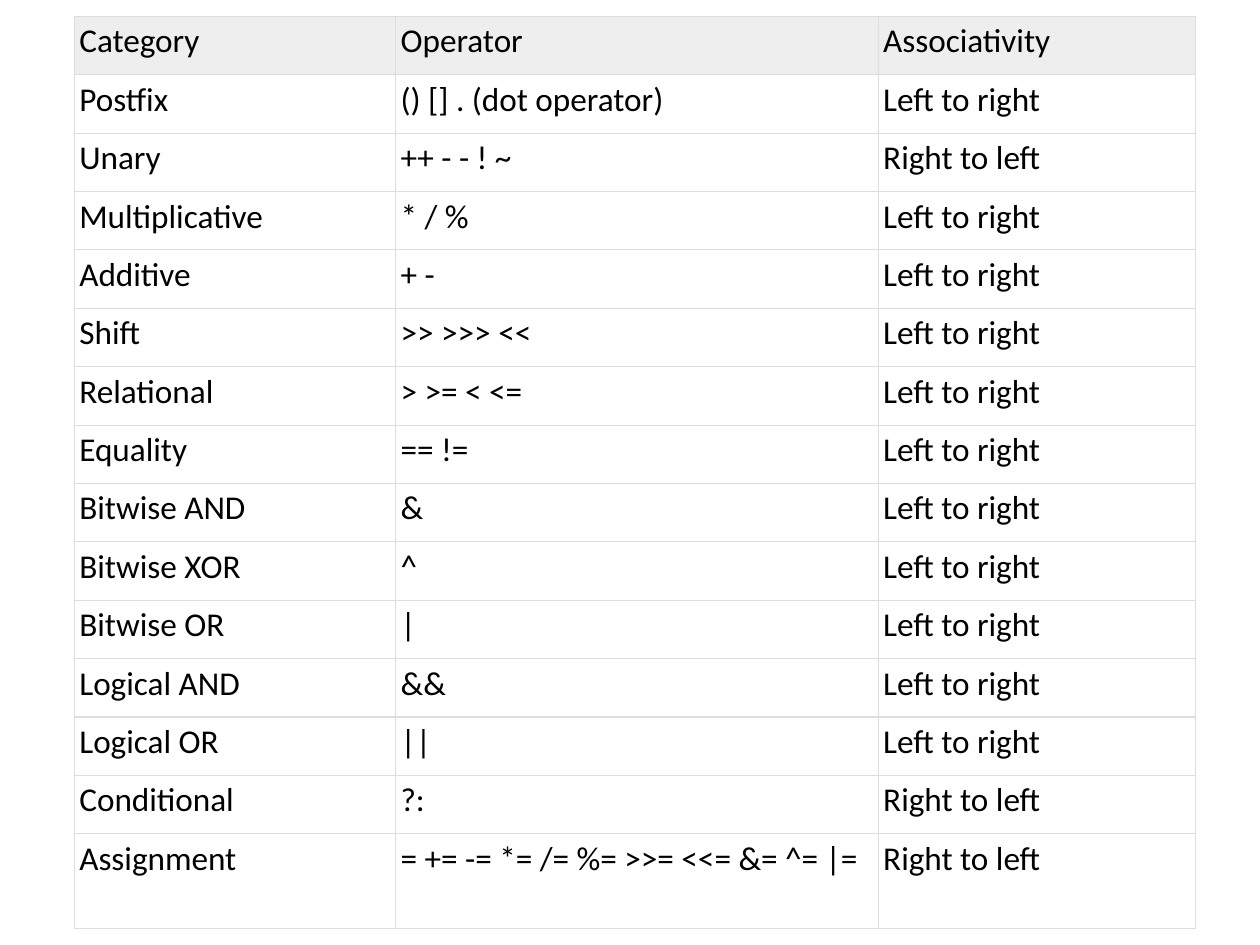
"""Build a slide with a table of operator precedence and associativity."""
from typing import NamedTuple

from lxml.etree import SubElement
from pptx import Presentation
from pptx.dml.color import RGBColor
from pptx.oxml.ns import qn
from pptx.util import Inches, Pt

COLORS = {"text": "000000", "header": "EEEEEE", "border": "DDDDDD"}
FONT_NAME = "Calibri"
FONT_SIZE = Pt(19)
BORDER_WIDTH = Pt(0.75)
CELL_MARGIN = Inches(0.04)
LEFT, TOP, HEIGHT = Inches(0.59), Inches(0.13), Inches(7.24)
COLUMN_WIDTHS = [Inches(2.55), Inches(3.83), Inches(2.52)]
LAST_ROW_HEIGHT = Inches(0.75)
LEFT_TO_RIGHT = "Left to right"
RIGHT_TO_LEFT = "Right to left"


class OperatorRow(NamedTuple):
    """One line of the table."""

    category: str
    operators: str
    associativity: str


ROWS = [
    OperatorRow("Category", "Operator", "Associativity"),
    OperatorRow("Postfix", "() [] . (dot operator)", LEFT_TO_RIGHT),
    OperatorRow("Unary", "++ - - ! ~", RIGHT_TO_LEFT),
    OperatorRow("Multiplicative", "* / %", LEFT_TO_RIGHT),
    OperatorRow("Additive", "+ -", LEFT_TO_RIGHT),
    OperatorRow("Shift", ">> >>> <<", LEFT_TO_RIGHT),
    OperatorRow("Relational", "> >= < <=", LEFT_TO_RIGHT),
    OperatorRow("Equality", "== !=", LEFT_TO_RIGHT),
    OperatorRow("Bitwise AND", "&", LEFT_TO_RIGHT),
    OperatorRow("Bitwise XOR", "^", LEFT_TO_RIGHT),
    OperatorRow("Bitwise OR", "|", LEFT_TO_RIGHT),
    OperatorRow("Logical AND", "&&", LEFT_TO_RIGHT),
    OperatorRow("Logical OR", "||", LEFT_TO_RIGHT),
    OperatorRow("Conditional", "?:", RIGHT_TO_LEFT),
    OperatorRow("Assignment", "= += -= *= /= %= >>= <<= &= ^= |=", RIGHT_TO_LEFT),
]


def set_borders(cell) -> None:
    """Draw the same thin line on all four sides of a cell."""
    properties = cell._tc.get_or_add_tcPr()
    for side in ("a:lnL", "a:lnR", "a:lnT", "a:lnB"):
        line = SubElement(properties, qn(side), w=str(BORDER_WIDTH))
        fill = SubElement(line, qn("a:solidFill"))
        SubElement(fill, qn("a:srgbClr"), val=COLORS["border"])


def fill_cell(cell, text: str, is_header: bool) -> None:
    """Write and format one cell."""
    cell.margin_left = cell.margin_right = CELL_MARGIN
    cell.margin_top = cell.margin_bottom = CELL_MARGIN
    set_borders(cell)
    if is_header:
        cell.fill.solid()
        cell.fill.fore_color.rgb = RGBColor.from_string(COLORS["header"])
    else:
        cell.fill.background()
    cell.text_frame.text = text
    for span in cell.text_frame.paragraphs[0].runs:
        span.font.name = FONT_NAME
        span.font.size = FONT_SIZE
        span.font.color.rgb = RGBColor.from_string(COLORS["text"])


def add_operator_table(page, rows: list[OperatorRow]) -> None:
    """Add the table with equal rows above a taller last one."""
    table = page.shapes.add_table(
        len(rows), len(COLUMN_WIDTHS), LEFT, TOP, sum(COLUMN_WIDTHS), HEIGHT
    ).table
    table.first_row = table.horz_banding = False
    for column, width in zip(table.columns, COLUMN_WIDTHS):
        column.width = width
    row_height = (HEIGHT - LAST_ROW_HEIGHT) // (len(rows) - 1)
    for index, (row, entry) in enumerate(zip(table.rows, rows)):
        row.height = LAST_ROW_HEIGHT if index == len(rows) - 1 else row_height
        for cell, text in zip(row.cells, entry):
            fill_cell(cell, text, is_header=index == 0)


def main() -> None:
    """Create the deck and save it."""
    deck = Presentation()
    deck.slide_width, deck.slide_height = Inches(10), Inches(7.5)
    page = deck.slides.add_slide(deck.slide_layouts[6])
    add_operator_table(page, ROWS)
    deck.save("out.pptx")


if __name__ == "__main__":
    main()
